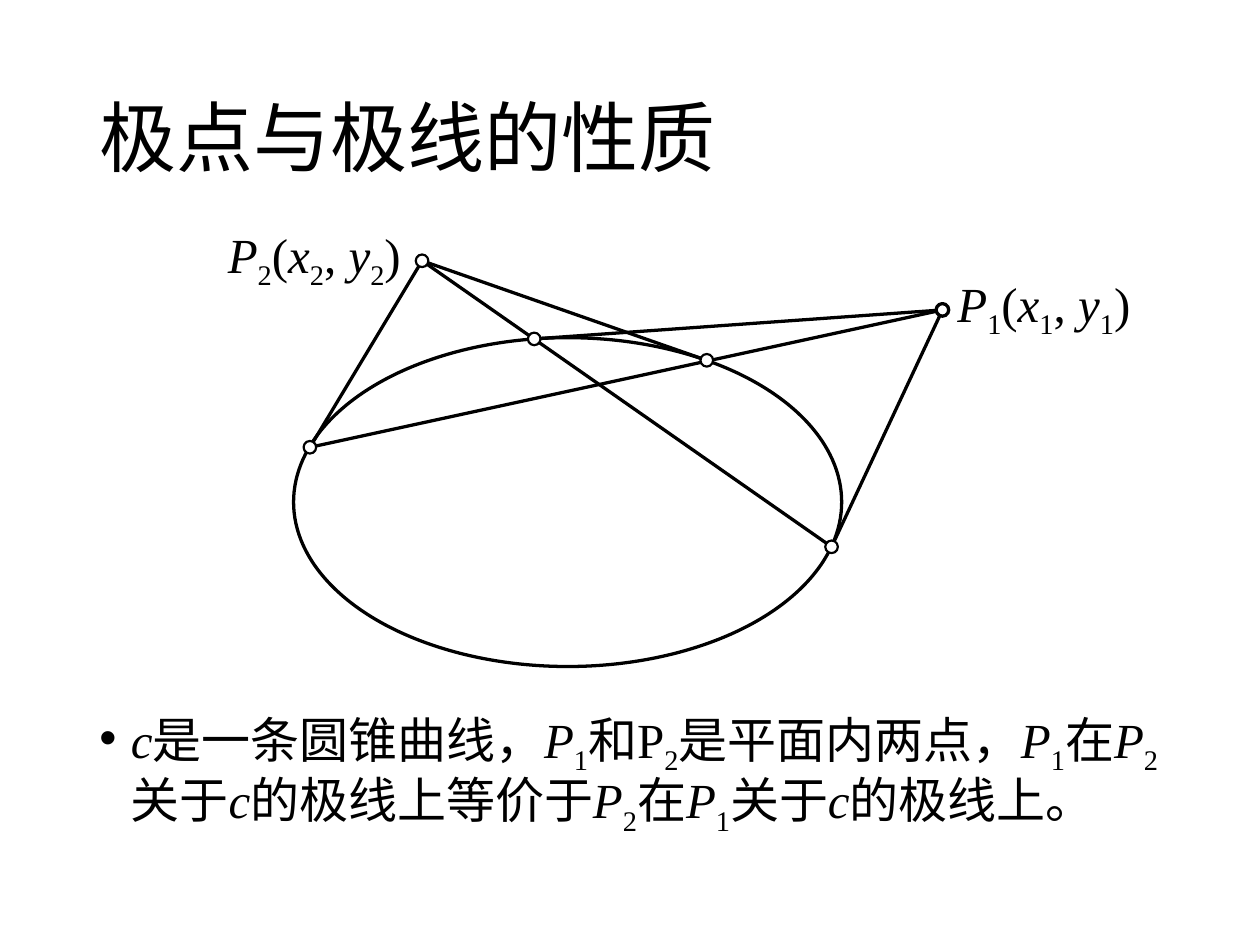
"""Build the slide on the properties of poles and polars."""
from lxml import etree
from pptx import Presentation
from pptx.dml.color import RGBColor
from pptx.enum.shapes import MSO_CONNECTOR, MSO_SHAPE
from pptx.enum.text import MSO_ANCHOR
from pptx.oxml.ns import qn
from pptx.util import Inches, Pt

STRAIGHT = MSO_CONNECTOR.STRAIGHT
OVAL = MSO_SHAPE.OVAL
MIDDLE = MSO_ANCHOR.MIDDLE
BLACK, WHITE = "000000", "FFFFFF"
LATIN, CJK = "Times New Roman", "Noto Sans CJK SC"


def rgb(value):
    return RGBColor.from_string(value)


def add_text(left, top, width, height, marked, size, latin=LATIN, wrap=True):
    """Add a text box; in marked text | splits runs, / is italic, _ is subscript."""
    tf = s.shapes.add_textbox(Inches(left), Inches(top), Inches(width), Inches(height)).text_frame
    tf.word_wrap = wrap
    p = tf.paragraphs[0]
    for part in marked.split("|"):
        r = p.add_run()
        r.text = part.lstrip("/_")
        r.font.size = Pt(size)
        r.font.name = latin
        r.font.color.rgb = rgb(BLACK)
        r.font.italic = part.startswith("/")
        rPr = r.font._element
        etree.SubElement(rPr, qn("a:ea")).set("typeface", CJK)
        if part.startswith("_"):
            rPr.set("baseline", "-25000")
    return tf


prs = Presentation()
prs.slide_width, prs.slide_height = Inches(10), Inches(7.5)
s = prs.slides.add_slide(prs.slide_layouts[6])

tf = add_text(0.69, 0.4, 8.62, 1.45, "极点与极线的性质", 44, CJK)
tf.vertical_anchor = MIDDLE
tf.paragraphs[0].line_spacing = 0.9

statement = ("/c|是一条圆锥曲线，|/P|_1|和P|_2|是平面内两点，|/P|_1|在|/P|_2|关于|/c"
             "|的极线上等价于|/P|_2|在|/P|_1|关于|/c|的极线上。")
p = add_text(0.69, 5.59, 8.62, 1.17, statement, 28).paragraphs[0]
p.line_spacing = 0.9
pPr = p._p.get_or_add_pPr()
pPr.set("marL", str(Inches(0.25)))
pPr.set("indent", str(Inches(-0.25)))
etree.SubElement(pPr, qn("a:buFont")).set("typeface", "Arial")
etree.SubElement(pPr, qn("a:buChar")).set("char", "•")

conic = s.shapes.add_shape(OVAL, Inches(2.33), Inches(2.68), Inches(4.35), Inches(2.61))
conic.shadow.inherit = False
conic.fill.background()
conic.line.color.rgb = rgb(BLACK)
conic.line.width = Pt(1.88)

points = {
    "P1": (7.48, 2.46),
    "P2": (3.35, 2.07),
    "top": (4.24, 2.69),
    "right": (6.6, 4.34),
    "left": (2.46, 3.55),
    "upper right": (5.61, 2.86),
}
segments = [("P1", "top"), ("P1", "right"), ("left", "P1"),
            ("P2", "right"), ("P2", "left"), ("P2", "upper right")]
for start, end in segments:
    ends = [Inches(v) for v in points[start] + points[end]]
    line = s.shapes.add_connector(STRAIGHT, *ends)
    line.line.color.rgb = rgb(BLACK)
    line.line.width = Pt(1.88)
    etree.SubElement(line._element.spPr, qn("a:effectLst"))

DOT = 0.1
for name, (x, y) in points.items():
    sp = s.shapes.add_shape(OVAL, Inches(x - DOT / 2), Inches(y - DOT / 2), Inches(DOT), Inches(DOT))
    sp.shadow.inherit = False
    sp.fill.solid()
    sp.fill.fore_color.rgb = rgb(WHITE)
    sp.line.color.rgb = rgb(BLACK)
    sp.line.width = Pt(1.88 if name == "P1" else 1.25)

for n, left, top in [(1, 7.5, 2.12), (2, 1.71, 1.73)]:
    add_text(left, top, 1.64, 0.57, f"/P|_{n}|(|/x|_{n}|, |/y|_{n}|)", 28, wrap=False)

prs.save("out.pptx")
